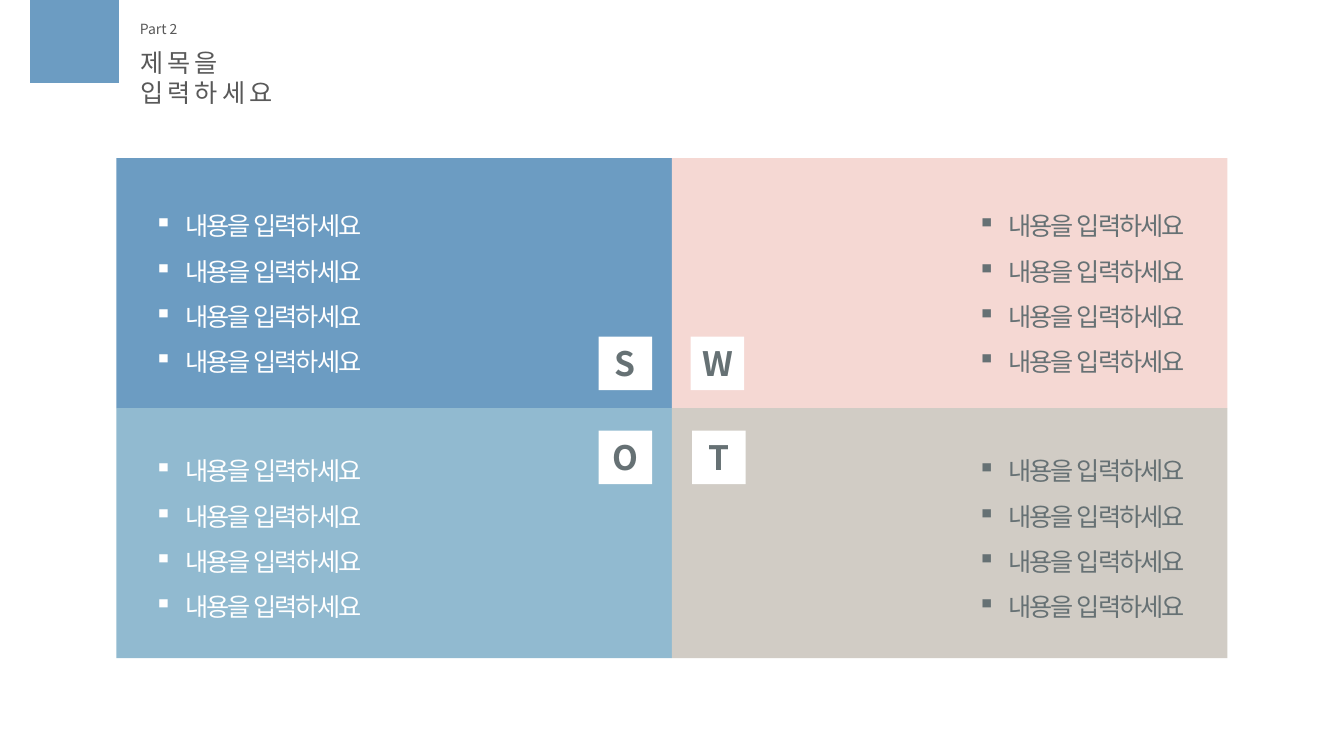
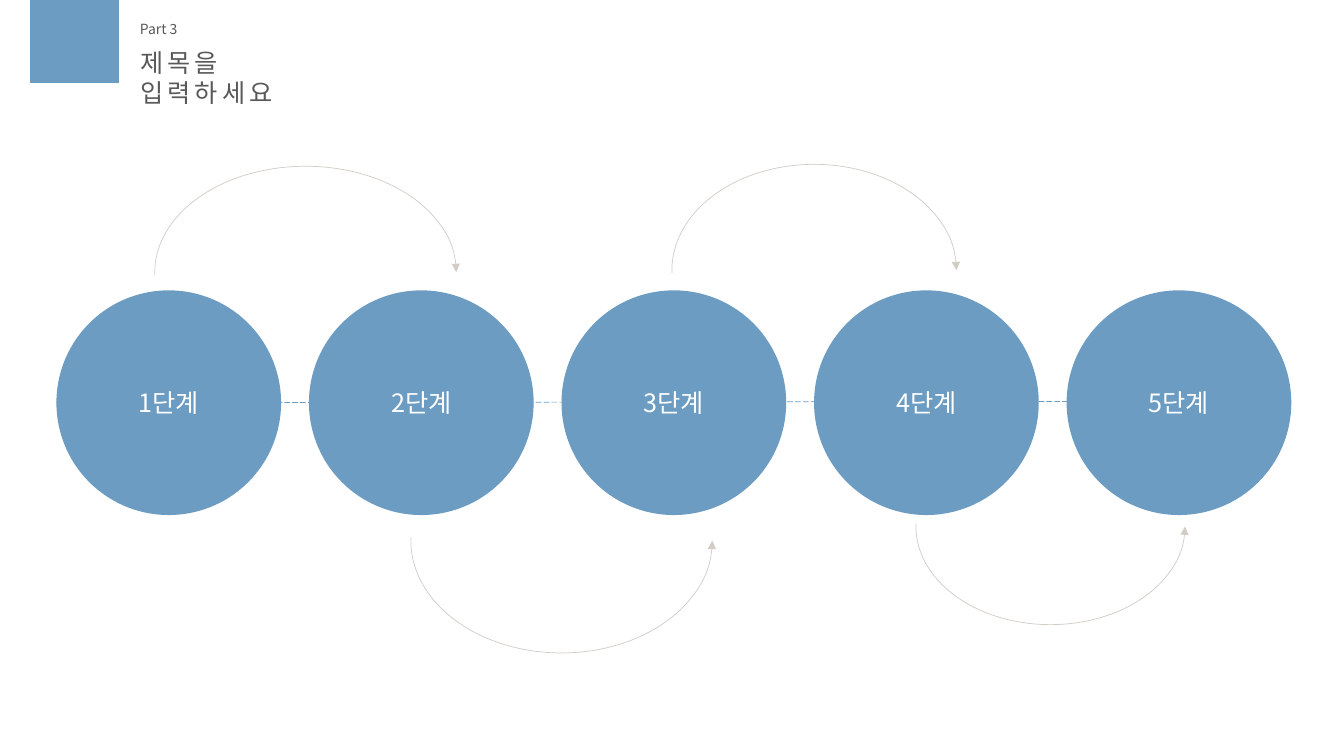
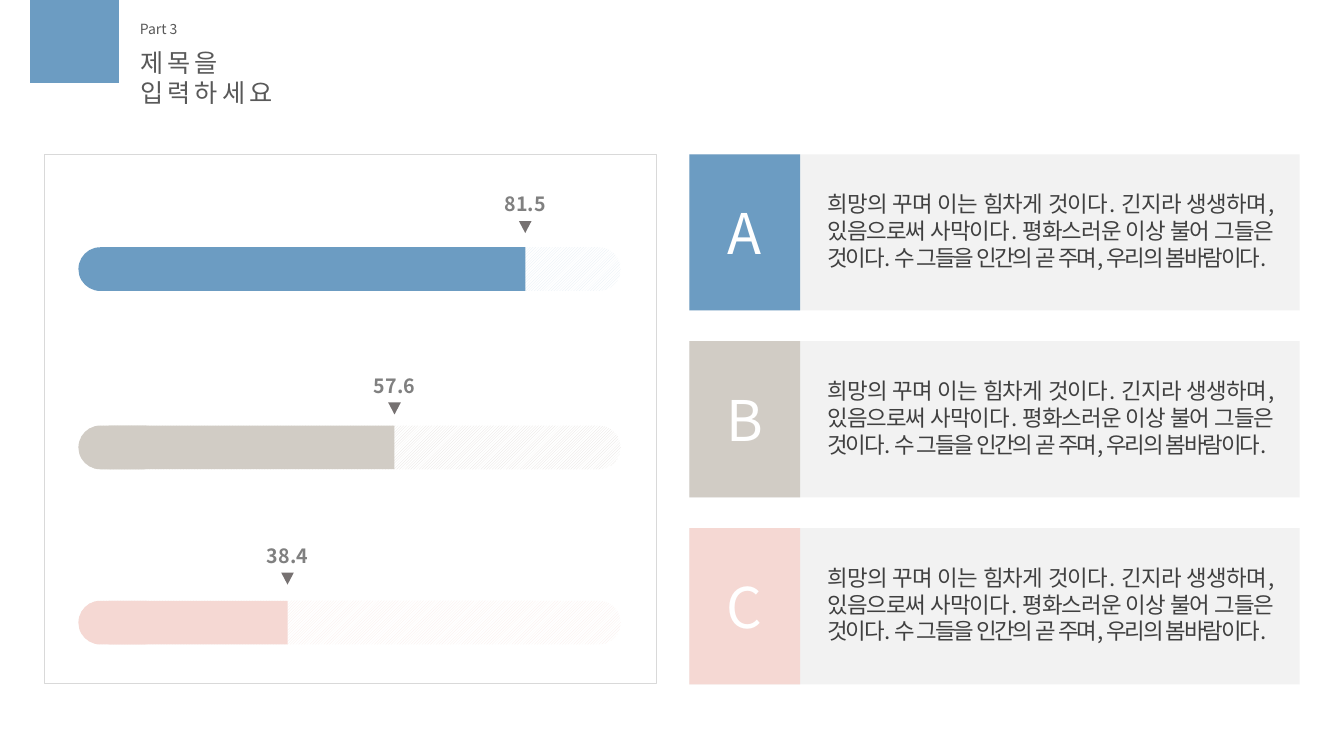
from dataclasses import dataclass

from lxml import etree
from pptx import Presentation
from pptx import util as u
from pptx.dml.color import RGBColor
from pptx.enum import dml, lang, shapes, text
from pptx.oxml import ns

Pt = u.Pt
Shape = shapes.MSO_SHAPE
Align = text.PP_ALIGN
Anchor = text.MSO_ANCHOR


@dataclass(frozen=True)
class Theme:
    font: str = "Noto Sans CJK KR"
    blue: str = "6C9CC2"
    sky: str = "91BAD0"
    pink: str = "F5D8D3"
    stone: str = "D1CCC5"
    white: str = "FFFFFF"
    slate: str = "667174"
    heading: str = "595959"
    body: str = "404040"
    value: str = "808080"
    marker: str = "767171"
    border: str = "D9D9D9"
    card: str = "F2F2F2"
    blue_hatch: str = "E2EBF3"
    stone_hatch: str = "E3E0DC"
    pink_hatch: str = "F9EAE7"
    part_size: int = 10
    title_size: int = 18
    value_size: int = 14
    body_size: int = 16
    letter_size: int = 24
    card_size: int = 40


class Builder:
    """Hold the theme and the current slide, and draw each kind of element."""

    def __init__(self, theme):
        self.theme = theme
        self.deck = Presentation()
        self.deck.slide_width, self.deck.slide_height = Pt(960), Pt(540)
        self.page = None

    def add_page(self, part, title):
        theme = self.theme
        self.page = self.deck.slides.add_slide(self.deck.slide_layouts[5])
        self.shape(Shape.RECTANGLE, 21.5, 0, 63.5, 59.3, theme.blue)
        self.text_box([part], 92.9, 10.8, 60, 19.4, theme.part_size, theme.heading)
        box = self.page.shapes.title
        box.left, box.top, box.width, box.height = Pt(92.9), Pt(30.2), Pt(144), Pt(50.4)
        self.put_text(box, [title], theme.title_size, theme.heading, spacing=3)

    def put_text(self, box, lines, size, color, align=Align.LEFT, anchor=Anchor.TOP,
                 bold=False, spacing=0, bullet=None):
        frame = box.text_frame
        frame.word_wrap = True
        frame.auto_size = text.MSO_AUTO_SIZE.NONE
        frame.vertical_anchor = anchor
        for index, line in enumerate(lines):
            para = frame.add_paragraph() if index else frame.paragraphs[0]
            para.alignment = align
            if bullet:
                para.line_spacing = 1.5
                props = para._p.get_or_add_pPr()
                props.set("marL", str(Pt(22.5)))
                props.set("indent", str(-Pt(22.5)))
                etree.SubElement(props, ns.qn("a:buChar")).set("char", bullet)
            span = para.add_run()
            span.text = line
            font = span.font
            font.name, font.size, font.bold = self.theme.font, Pt(size), bold
            font.language_id = lang.MSO_LANGUAGE_ID.KOREAN
            font.color.rgb = RGBColor.from_string(color)
            props = span._r.get_or_add_rPr()
            etree.SubElement(props, ns.qn("a:ea")).set("typeface", self.theme.font)
            if spacing:
                props.set("spc", str(int(spacing * 100)))

    def text_box(self, lines, left, top, width, height, size, color, **style):
        box = self.page.shapes.add_textbox(Pt(left), Pt(top), Pt(width), Pt(height))
        self.put_text(box, lines, size, color, **style)

    def shape(self, kind, left, top, width, height, fill=None, line=None,
              weight=1, hatch=None, flip=False):
        box = self.page.shapes.add_shape(kind, Pt(left), Pt(top), Pt(width), Pt(height))
        box.shadow.inherit = False
        if hatch:
            box.fill.patterned()
            box.fill.pattern = dml.MSO_PATTERN.DARK_UPWARD_DIAGONAL
            box.fill.fore_color.rgb = RGBColor.from_string(hatch)
            box.fill.back_color.rgb = RGBColor.from_string(self.theme.white)
        elif fill:
            box.fill.solid()
            box.fill.fore_color.rgb = RGBColor.from_string(fill)
        else:
            box.fill.background()
        if line:
            box.line.color.rgb = RGBColor.from_string(line)
            box.line.width = Pt(weight)
        else:
            box.line.fill.background()
        if flip:
            box._element.spPr.find(ns.qn("a:xfrm")).set("flipV", "1")
        return box

    def badge(self, kind, line, left, top, width, height, fill, size, color, bold=False):
        box = self.shape(kind, left, top, width, height, fill)
        self.put_text(box, [line], size, color, Align.CENTER, Anchor.MIDDLE, bold)

    def dashed_line(self, x1, y1, x2, y2, color):
        line = self.page.shapes.add_connector(
            shapes.MSO_CONNECTOR.STRAIGHT, Pt(x1), Pt(y1), Pt(x2), Pt(y2))
        line.line.color.rgb = RGBColor.from_string(color)
        line.line.width = Pt(0.5)
        line.line.dash_style = dml.MSO_LINE.LONG_DASH
        etree.SubElement(line._element.spPr, ns.qn("a:effectLst"))

    def arc_arrow(self, left, top, width, height, flip):
        arc = self.shape(Shape.ARC, left, top, width, height,
                         line=self.theme.stone, weight=0.5, flip=flip)
        arc.adjustments[0], arc.adjustments[1] = 107.24, 0
        outline = arc._element.spPr.find(ns.qn("a:ln"))
        etree.SubElement(outline, ns.qn("a:tailEnd")).set("type", "triangle")

    def pill(self, left, top, width, height, **style):
        self.shape(Shape.ROUNDED_RECTANGLE, left, top, width, height, **style).adjustments[0] = 0.5

    def gauge(self, value, top, filled, value_top, color, hatch):
        theme, left, height = self.theme, 56, 31.2
        end = left + filled
        self.pill(left, top, 387.4, height, hatch=hatch)
        self.pill(left, top, 2 * height, height, fill=color)
        self.shape(Shape.RECTANGLE, left + 21.6, top, filled - 21.6, height, color)
        self.text_box([value], end - 27, value_top, 54, 24.5, theme.value_size, theme.value,
                      align=Align.CENTER, bold=True)
        self.shape(Shape.ISOSCELES_TRIANGLE, end - 4.5, value_top + 24, 9, 8.6,
                   theme.marker, flip=True)

    def card(self, letter, line, top, color):
        theme, left, height = self.theme, 492.4, 111.6
        self.shape(Shape.RECTANGLE, left, top, 436, height, theme.card)
        self.badge(Shape.RECTANGLE, letter, left, top, 79.2, height, color,
                   theme.card_size, theme.white)
        self.text_box([line], 584, top + 22, 332, 85, theme.body_size, theme.body,
                      align=Align.JUSTIFY, spacing=-1.5)


def swot_page(builder):
    theme = builder.theme
    builder.add_page("Part 2", "제목을 입력하세요")
    left, top, width, height = 83.2, 112.9, 396.8, 178.6
    quadrants = [
        ("S", 0, 0, theme.blue, 427.7, 240.5),
        ("W", 1, 0, theme.pink, 493.4, 240.5),
        ("O", 0, 1, theme.sky, 427.7, 307.6),
        ("T", 1, 1, theme.stone, 494.4, 307.6),
    ]
    for letter, column, row, color, x, y in quadrants:
        builder.shape(Shape.RECTANGLE, left + column * width, top + row * height,
                      width, height, color)
        builder.badge(Shape.RECTANGLE, letter, x, y, 38.2, 38.2, theme.white,
                      theme.letter_size, theme.slate, bold=True)
        builder.text_box(["내용을 입력하세요"] * 4, 610 if column else 103, 136.1 + row * 175,
                         243.2, 134, theme.title_size, theme.slate if column else theme.white,
                         align=Align.RIGHT if column else Align.LEFT, spacing=-1.5, bullet="▪")


def steps_page(builder):
    theme = builder.theme
    builder.add_page("Part 3", "제목을 입력하세요")
    builder.dashed_line(40.3, 287.7, 922, 286.6, theme.blue)
    for index in range(5):
        builder.badge(Shape.OVAL, f"{index + 1}단계", 40.3 + index * 180.4, 207.4, 160.5, 160.5,
                      theme.blue, theme.title_size, theme.white)
    for left, top, width, height, flip in [
        (110.6, 118.8, 215.3, 151.2, False),
        (293.5, 306, 215.3, 160.4, True),
        (480, 117.4, 203.2, 151.2, False),
        (654.3, 306, 192.2, 140.2, True),
    ]:
        builder.arc_arrow(left, top, width, height, flip)


def gauges_page(builder):
    theme = builder.theme
    builder.add_page("Part 3", "제목을 입력하세요")
    builder.shape(Shape.RECTANGLE, 31.8, 110.2, 437, 378.2, theme.white, theme.border)
    for gauge in [
        ("81.5", 176.6, 319.2, 133.9, theme.blue, theme.blue_hatch),
        ("57.6", 304, 225.8, 263.5, theme.stone, theme.stone_hatch),
        ("38.4", 429.1, 149.4, 385, theme.pink, theme.pink_hatch),
    ]:
        builder.gauge(*gauge)
    line = ("희망의 꾸며 이는 힘차게 것이다. 긴지라 생생하며, 있음으로써 사막이다. "
            "평화스러운 이상 불어 그들은 것이다. 수 그들을 인간의 곧 주며, 우리의 봄바람이다.")
    for index, (letter, color) in enumerate(zip("ABC", (theme.blue, theme.stone, theme.pink))):
        builder.card(letter, line, 110.2 + index * 133.5, color)


def main():
    builder = Builder(Theme())
    swot_page(builder)
    steps_page(builder)
    gauges_page(builder)
    builder.deck.save("out.pptx")


if __name__ == "__main__":
    main()
